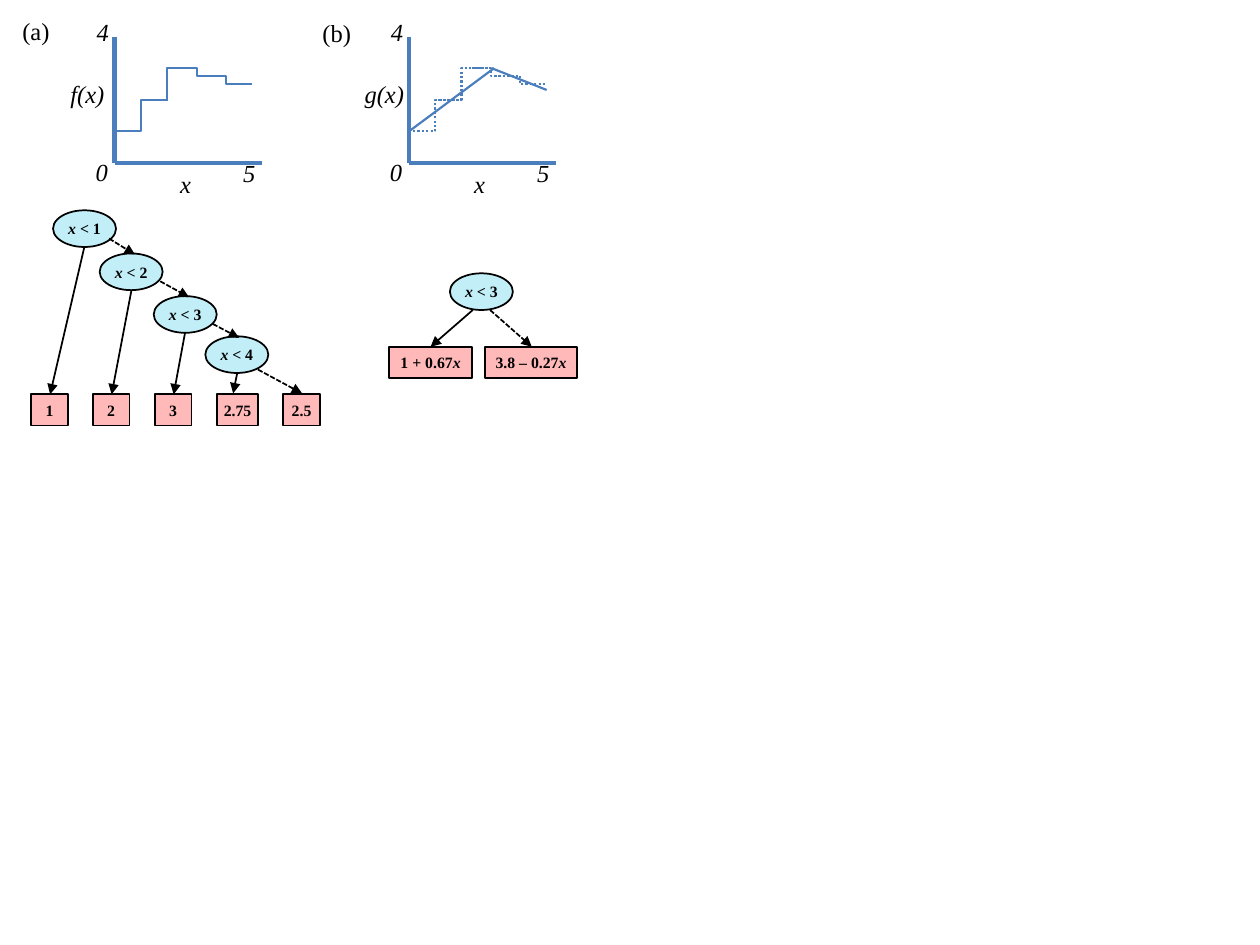
from dataclasses import dataclass

from lxml import etree
from pptx import Presentation
from pptx.dml.color import RGBColor
from pptx.enum.dml import MSO_LINE_DASH_STYLE as Dash
from pptx.enum.shapes import MSO_CONNECTOR as Connector, MSO_SHAPE as Shape
from pptx.enum.text import MSO_ANCHOR as Anchor, PP_ALIGN as Align
from pptx.oxml.ns import qn
from pptx.util import Cm, Pt


@dataclass(frozen=True)
class Theme:
    font: str = "Times New Roman"
    ink: RGBColor = RGBColor(0, 0, 0)
    curve: RGBColor = RGBColor(0x4B, 0x7E, 0xBC)
    node: RGBColor = RGBColor(0xC1, 0xEE, 0xF7)
    leaf: RGBColor = RGBColor(0xFF, 0xB9, 0xB9)
    label_size: Pt = Pt(14)
    tree_size: Pt = Pt(9)
    axis_width: Pt = Pt(2.5)
    curve_width: Pt = Pt(1.25)
    tree_width: Pt = Pt(1)


theme = Theme()

# Content: all lengths in cm
# Panels: tag, tag position, function name, horizontal offset, step dash
PANELS = [
    ("(a)", (0.2, 0.2), "f(x)", 0, None),
    ("(b)", (6.25, 0.23), "g(x)", 5.93, Dash.ROUND_DOT),
]
# Axis labels: text, left, top, width
AXIS_LABELS = [("4", 1.7, 0.21, 0.76), ("0", 1.68, 3.05, 0.76),
               ("5", 4.65, 3.07, 0.76), ("x", 3.38, 3.28, 0.74)]
# Steps: left, right, value before, value after
STEPS = [(2.31, 3.38, 1, 2), (2.84, 3.91, 2, 3),
         (3.58, 4.37, 3, 2.75), (4.03, 5.08, 2.75, 2.5)]
# Linear pieces of g: left, right, value at each end
SLOPES = [(8.25, 9.96, 1, 3), (9.91, 11.02, 3, 2.31)]

# Decision nodes: threshold, left, top
NODES = [("1", 1.07, 4.24), ("2", 2.01, 5.11), ("3", 3.1, 5.97),
         ("4", 4.14, 6.78), ("3", 9.07, 5.51)]
# Leaves: number, variable, left, top, width
LEAVES = [("1", "", 0.63, 7.95, 0.74), ("2", "", 1.87, 7.95, 0.74),
          ("3", "", 3.12, 7.95, 0.74), ("2.75", "", 4.37, 7.95, 0.84),
          ("2.5", "", 5.71, 7.95, 0.74),
          ("1 + 0.67", "x", 7.84, 6.99, 1.68),
          ("3.8 – 0.27", "x", 9.78, 6.99, 1.85)]
# Branches: start x, start y, end x, end y
TRUE_BRANCHES = [(1.7, 4.98, 1.01, 7.95), (2.65, 5.85, 2.25, 7.95),
                 (3.73, 6.71, 3.5, 7.95), (4.78, 7.53, 4.7, 7.93),
                 (9.53, 6.25, 8.68, 6.99)]
FALSE_BRANCHES = [(2.2, 4.81, 2.72, 5.13), (3.23, 5.67, 3.81, 5.99),
                  (4.29, 6.53, 4.82, 6.81), (5.2, 7.45, 6.09, 7.93),
                  (9.88, 6.25, 10.72, 6.99)]

AXIS_LEFT, AXIS_TOP, AXIS_BOTTOM = 2.31, 0.74, 3.28
AXIS_LENGTH = 2.97
VALUE_UNIT = (AXIS_BOTTOM - AXIS_TOP) / 4
NODE_SIZE = (1.27, 0.74)
LEAF_HEIGHT = 0.63
LABEL_HEIGHT, WIDE_LABEL = 0.86, 1.6

presentation = Presentation()
presentation.slide_width, presentation.slide_height = Cm(25.4), Cm(19.05)
slide = presentation.slides.add_slide(presentation.slide_layouts[6])


def value_y(value):
    return AXIS_BOTTOM - value * VALUE_UNIT


def style_font(font, size):
    font.name, font.size, font.color.rgb = theme.font, size, theme.ink


def add_label(text, left, top, width, italic=True, wrap=False):
    box = slide.shapes.add_textbox(Cm(left), Cm(top), Cm(width), Cm(LABEL_HEIGHT))
    box.text_frame.word_wrap = wrap
    paragraph = box.text_frame.paragraphs[0]
    paragraph.text = text
    style_font(paragraph.font, theme.label_size)
    paragraph.font.italic = italic


def add_line(start_x, start_y, end_x, end_y, color, width,
             dash=None, kind=Connector.STRAIGHT, arrow=False):
    line = slide.shapes.add_connector(
        kind, Cm(start_x), Cm(start_y), Cm(end_x), Cm(end_y))
    line.line.color.rgb, line.line.width = color, width
    if dash is not None:
        line.line.dash_style = dash
    if arrow:
        etree.SubElement(line.line._get_or_add_ln(), qn("a:tailEnd"), type="triangle")
    etree.SubElement(line._element.spPr, qn("a:effectLst"))


def add_box(kind, left, top, width, height, fill, runs):
    shape = slide.shapes.add_shape(kind, Cm(left), Cm(top), Cm(width), Cm(height))
    shape.shadow.inherit = False
    shape.fill.solid()
    shape.fill.fore_color.rgb = fill
    shape.line.color.rgb, shape.line.width = theme.ink, theme.tree_width
    frame = shape.text_frame
    frame.margin_left = frame.margin_right = frame.margin_top = frame.margin_bottom = 0
    frame.vertical_anchor = Anchor.MIDDLE
    paragraph = frame.paragraphs[0]
    paragraph.alignment = Align.CENTER
    style_font(paragraph.font, theme.tree_size)
    paragraph.font.bold = True
    for text, italic in runs:
        if text:
            run = paragraph.add_run()
            run.text, run.font.italic = text, italic


# Plots
for tag, tag_position, function_name, offset, step_dash in PANELS:
    left = AXIS_LEFT + offset
    add_label(tag, *tag_position, WIDE_LABEL, italic=False, wrap=True)
    add_label(function_name, 1.17 + offset, 1.47, WIDE_LABEL, wrap=True)
    for text, label_left, top, width in AXIS_LABELS:
        add_label(text, label_left + offset, top, width)
    for end in ((left, AXIS_TOP), (left + AXIS_LENGTH, AXIS_BOTTOM)):
        start = (left, AXIS_TOP if end[0] == left else AXIS_BOTTOM)
        add_line(*start, end[0], AXIS_BOTTOM, theme.curve, theme.axis_width)
    for step_left, step_right, before, after in STEPS:
        add_line(step_left + offset, value_y(before), step_right + offset,
                 value_y(after), theme.curve, theme.curve_width,
                 step_dash, Connector.ELBOW)

for slope_left, slope_right, first, last in SLOPES:
    add_line(slope_left, value_y(first), slope_right, value_y(last),
             theme.curve, theme.curve_width)

# Trees
for threshold, left, top in NODES:
    add_box(Shape.OVAL, left, top, *NODE_SIZE, theme.node,
            [("x < ", True), (threshold, False)])
for number, variable, left, top, width in LEAVES:
    add_box(Shape.RECTANGLE, left, top, width, LEAF_HEIGHT, theme.leaf,
            [(number, False), (variable, True)])
for branches, dash in ((TRUE_BRANCHES, None), (FALSE_BRANCHES, Dash.SQUARE_DOT)):
    for branch in branches:
        add_line(*branch, theme.ink, theme.tree_width, dash, arrow=True)

presentation.save("out.pptx")
